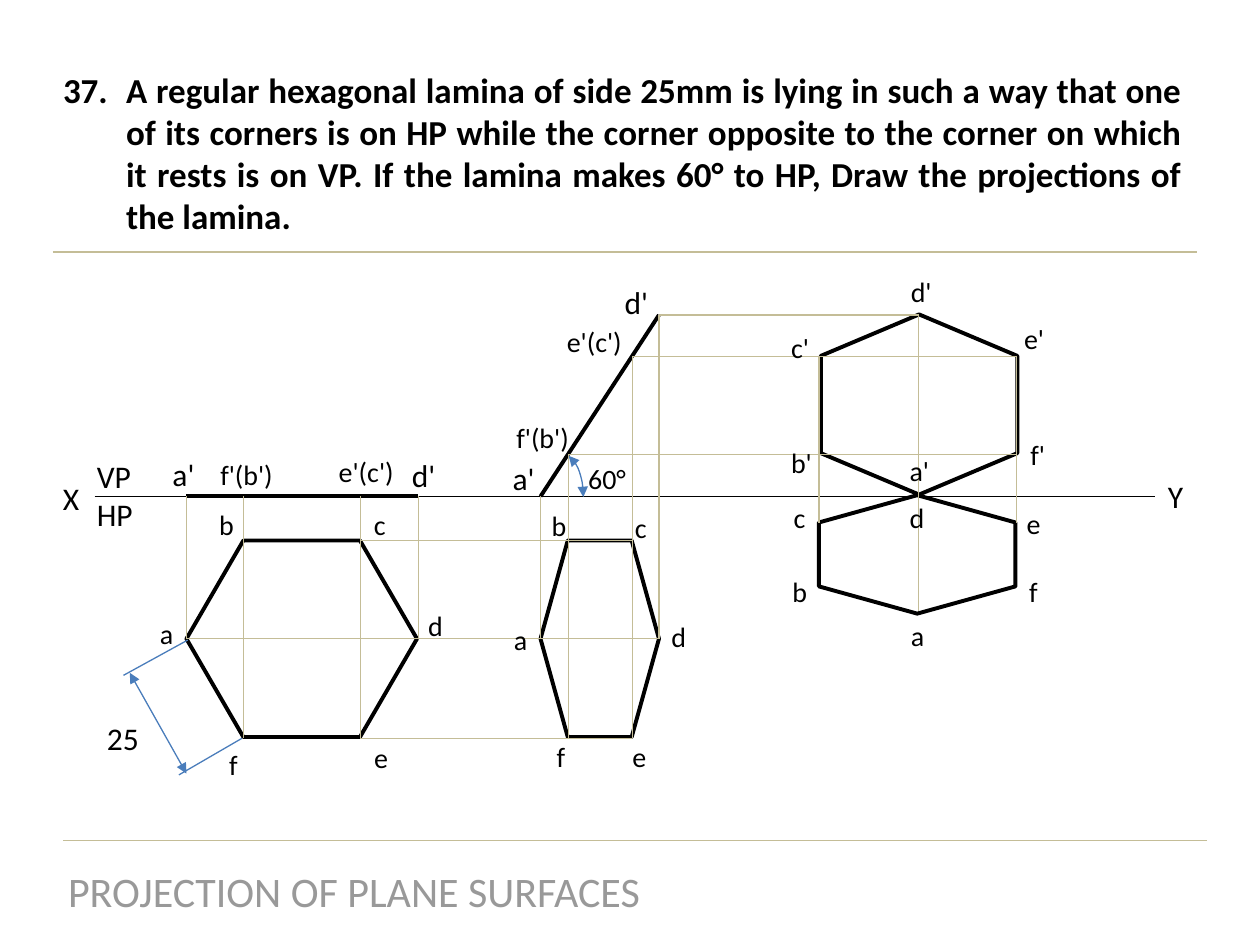
"""Build the slide on the projections of a hexagonal lamina inclined to HP."""
from dataclasses import dataclass

from lxml import etree
from pptx import Presentation
from pptx.dml.color import RGBColor
from pptx.enum.shapes import MSO_CONNECTOR, MSO_SHAPE
from pptx.enum.text import MSO_ANCHOR, MSO_AUTO_SIZE, PP_ALIGN
from pptx.oxml.ns import qn
from pptx.util import Inches, Pt

STRAIGHT = MSO_CONNECTOR.STRAIGHT
HEXAGON, ARC = MSO_SHAPE.HEXAGON, MSO_SHAPE.ARC
JUSTIFY, CENTER = PP_ALIGN.JUSTIFY, PP_ALIGN.CENTER
TOP, NO_FIT = MSO_ANCHOR.TOP, MSO_AUTO_SIZE.NONE


@dataclass(frozen=True)
class Theme:
    font: str = "Calibri"
    ink: str = "000000"
    projector: str = "C4BD97"
    dimension: str = "4A7DBB"
    topic: str = "999999"
    small: int = 16
    large: int = 18
    problem_size: int = 20
    topic_size: int = 24
    thin: float = 0.75
    thick: float = 2.25


THEME = Theme()

TOPIC = "PROJECTION OF PLANE SURFACES"
PROBLEM_NUMBER = 37
PROBLEM = (
    "A regular hexagonal lamina of side 25mm is lying in such a way that one "
    "of its corners is on HP while the corner opposite to the corner on which "
    "it rests is on VP. If the lamina makes 60° to HP, Draw the projections "
    "of the lamina."
)

FLAT = {"a": 1.48, "b": 1.93, "c": 2.86, "d": 3.32}
TILTED = {"a": 4.29, "b": 4.51, "c": 5.02, "d": 5.23}
FINAL = {"left": 6.5, "middle": 7.29, "right": 8.07}
ROW = {"d'": 2.5, "c'": 2.83, "b'": 3.61, "XY": 3.94, "final c": 4.15,
       "b": 4.29, "a": 5.07, "final a": 4.85, "f": 5.86}

PROJECTORS = [
    *[(FLAT[corner], ROW["XY"], FLAT[corner], ROW[end])
      for corner, end in (("a", "a"), ("b", "f"), ("c", "f"), ("d", "a"))],
    *[(TILTED[corner], ROW[start], TILTED[corner], ROW[end])
      for corner, start, end in (("a", "XY", "a"), ("b", "b'", "f"),
                                 ("c", "c'", "f"), ("d", "d'", "a"))],
    (FLAT["a"], ROW["a"], TILTED["d"], ROW["a"]),
    (FLAT["c"], ROW["b"], TILTED["c"], ROW["b"]),
    (FLAT["c"], ROW["f"], TILTED["c"], ROW["f"]),
    (TILTED["d"], ROW["d'"], FINAL["middle"], ROW["d'"]),
    (TILTED["c"], ROW["c'"], FINAL["right"], ROW["c'"]),
    (TILTED["b"], ROW["b'"], FINAL["right"], ROW["b'"]),
    (FINAL["middle"], ROW["d'"], FINAL["middle"], ROW["final a"]),
    *[(FINAL[side], ROW["c'"], FINAL[side], ROW["final c"])
      for side in ("left", "right")],
]
RULES = [(0.42, 2, 9.5, 2), (0.5, 6.67, 9.58, 6.67)]
EDGE_VIEWS = [(FLAT["a"], ROW["XY"], FLAT["d"], ROW["XY"]),
              (TILTED["d"], ROW["d'"], TILTED["a"], ROW["XY"])]
REFERENCE_LINE = (0.75, ROW["XY"], 9.17, ROW["XY"])
SIDE_DIMENSION = (1.03, 5.34, 1.48, 6.14)
EXTENSIONS = [(0.98, 5.36, 1.49, 5.08), (1.42, 6.15, 1.92, 5.86)]

LAMINAS = [
    ((1.48, 4.29, 1.83, 1.56), 0.29, 0),
    ((4.29, 4.29, 0.94, 1.56), 0.23, 0),
    ((6.81, 3.62, 0.94, 1.56), 0.23, 270),
    ((6.58, 2.43, 1.43, 1.56), 0.23, 270),
]
ANGLE_BOX, ANGLE_START = (4.29, 3.6, 0.34, 0.69), 167.55

WIDTHS = {"a": 0.31, "b": 0.32, "c": 0.3, "d": 0.32, "e": 0.31, "f": 0.27,
          "a'": 0.42, "b'": 0.37, "c'": 0.35, "d'": 0.45, "e'": 0.36,
          "f'": 0.32, "f'(b')": 0.62, "e'(c')": 0.66, "60°": 0.56,
          "25": 0.46, "X": 0.33, "Y": 0.32, "VP\nHP": 0.49}
LARGE_LABELS = [
    ("X", 0.4, 3.75), ("Y", 9.17, 3.74), ("VP\nHP", 0.67, 3.58),
    ("25", 0.75, 5.66), ("a'", 1.27, 3.56), ("d'", 3.17, 3.57),
    ("a'", 3.97, 3.59), ("d'", 4.86, 2.2),
]
SMALL_LABELS = [
    ("a", 1.17, 4.84), ("b", 1.64, 3.98), ("c", 2.87, 3.98),
    ("d", 3.3, 4.78), ("e", 2.87, 5.83), ("f", 1.72, 5.88),
    ("f'(b')", 1.65, 3.58), ("e'(c')", 2.59, 3.56),
    ("a", 3.98, 4.89), ("b", 4.28, 3.99), ("c", 4.94, 4),
    ("d", 5.23, 4.87), ("e", 4.92, 5.82), ("f", 4.32, 5.82),
    ("f'(b')", 4, 3.29), ("e'(c')", 4.4, 2.53), ("60°", 4.57, 3.61),
    ("a", 7.13, 4.86), ("b", 6.19, 4.51), ("c", 6.2, 3.92),
    ("d", 7.12, 3.92), ("e", 8.05, 3.97), ("f", 8.07, 4.51),
    ("a'", 7.12, 3.55), ("b'", 6.18, 3.49), ("c'", 6.18, 2.57),
    ("d'", 7.13, 2.13), ("e'", 8.03, 2.5), ("f'", 8.08, 3.42),
]


def inches(lengths):
    return [Inches(length) for length in lengths]


def style_text(paragraph, size, color, bold=False):
    for run in paragraph.runs:
        run.font.name = THEME.font
        run.font.size = Pt(size)
        run.font.bold = bold
        run.font.color.rgb = RGBColor.from_string(color)


def style_line(stroke, color, width, arrows):
    stroke.line.color.rgb = RGBColor.from_string(color)
    stroke.line.width = Pt(width)
    if arrows:
        properties = stroke._element.spPr.find(qn("a:ln"))
        for end in ("a:headEnd", "a:tailEnd"):
            etree.SubElement(properties, qn(end), type="triangle")


def draw_line(shapes, ends, color, width=THEME.thin, arrows=False):
    segment = shapes.add_connector(STRAIGHT, *inches(ends))
    style_line(segment, color, width, arrows)
    etree.SubElement(segment._element.spPr, qn("a:effectLst"))


def draw_outline(shapes, preset, box, color, width, arrows=False):
    outline = shapes.add_shape(preset, *inches(box))
    outline.shadow.inherit = False
    outline.fill.background()
    style_line(outline, color, width, arrows)
    return outline


def draw_label(shapes, text, left, top, size):
    height = 0.71 if "\n" in text else size / 45
    label = shapes.add_textbox(*inches((left, top, WIDTHS[text], height)))
    label.text_frame.text = text
    for paragraph in label.text_frame.paragraphs:
        style_text(paragraph, size, THEME.ink)


def fill_placeholder(holder, text, box, align):
    holder.left, holder.top, holder.width, holder.height = inches(box)
    frame = holder.text_frame
    frame.text = text
    frame.auto_size = NO_FIT
    frame.word_wrap = True
    paragraph = frame.paragraphs[0]
    paragraph.alignment = align
    paragraph.space_before = Pt(0)
    return paragraph


def number_paragraph(paragraph, start):
    properties = paragraph._p.get_or_add_pPr()
    properties.set("marL", str(Inches(0.5)))
    properties.set("indent", str(-Inches(0.5)))
    color = etree.SubElement(properties, qn("a:buClr"))
    etree.SubElement(color, qn("a:srgbClr"), val=THEME.ink)
    etree.SubElement(properties, qn("a:buFont"), typeface=THEME.font)
    etree.SubElement(properties, qn("a:buAutoNum"), type="arabicPeriod", startAt=str(start))


def main():
    deck = Presentation()
    deck.slide_width, deck.slide_height = inches((10, 7.5))
    slide = deck.slides.add_slide(deck.slide_layouts[1])
    shapes = slide.shapes

    topic = fill_placeholder(shapes.title, TOPIC, (0.42, 6.82, 4.78, 0.5), CENTER)
    style_text(topic, THEME.topic_size, THEME.topic)
    body = slide.placeholders[1]
    problem = fill_placeholder(body, PROBLEM, (0.4, 0.49, 9.08, 1.45), JUSTIFY)
    body.text_frame.vertical_anchor = TOP
    number_paragraph(problem, PROBLEM_NUMBER)
    style_text(problem, THEME.problem_size, THEME.ink, bold=True)

    draw_line(shapes, REFERENCE_LINE, THEME.ink)
    for box, corner, turn in LAMINAS:
        lamina = draw_outline(shapes, HEXAGON, box, THEME.ink, THEME.thick)
        lamina.adjustments[0] = corner
        lamina.rotation = turn
    for ends in EDGE_VIEWS:
        draw_line(shapes, ends, THEME.ink, THEME.thick)
    for ends in RULES + PROJECTORS:
        draw_line(shapes, ends, THEME.projector)

    side = shapes.add_group_shape().shapes
    draw_line(side, SIDE_DIMENSION, THEME.dimension, arrows=True)
    for ends in EXTENSIONS:
        draw_line(side, ends, THEME.dimension)
    angle = draw_outline(shapes, ARC, ANGLE_BOX, THEME.dimension, THEME.thin, arrows=True)
    angle.adjustments[0] = ANGLE_START

    for labels, size in ((LARGE_LABELS, THEME.large), (SMALL_LABELS, THEME.small)):
        for text, left, top in labels:
            draw_label(shapes, text, left, top, size)
    deck.save("out.pptx")


if __name__ == "__main__":
    main()
